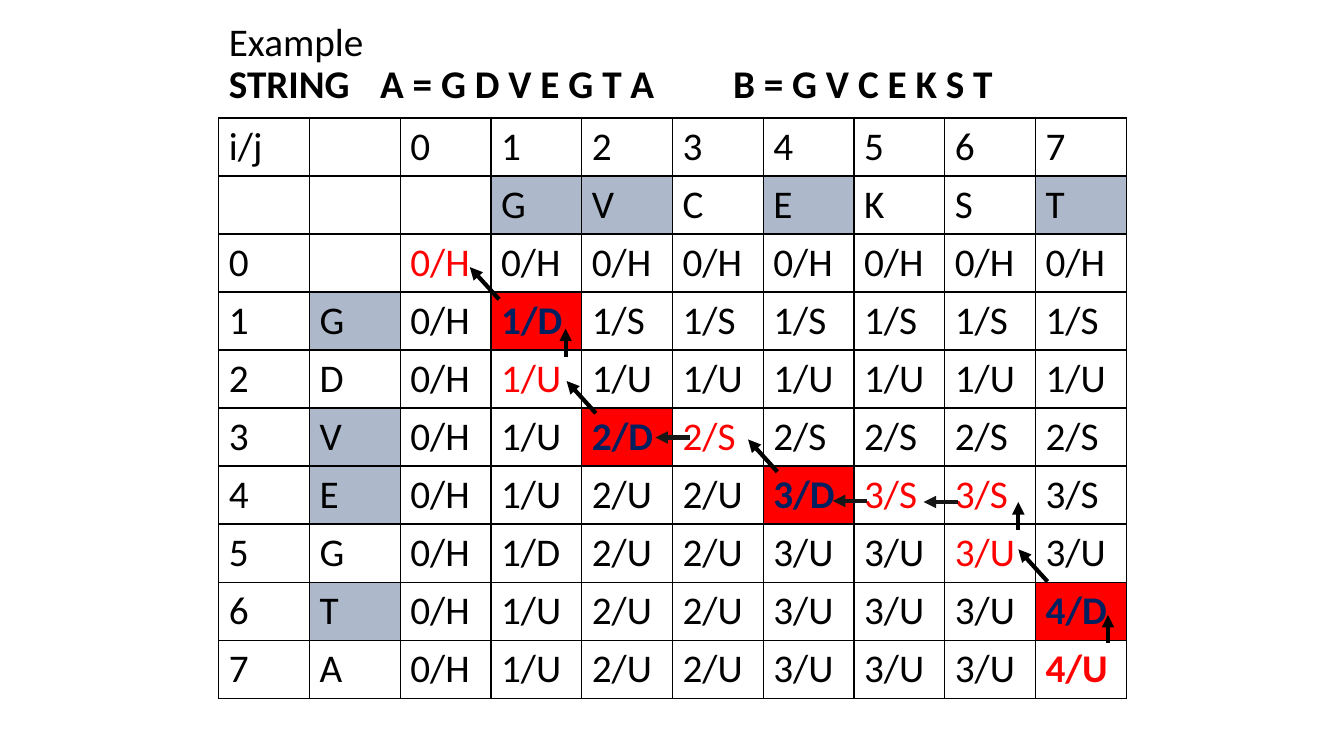
import copy
import lxml.etree
import pptx
import pptx.dml.color
import pptx.enum.shapes
import pptx.enum.text
import pptx.oxml.ns
import pptx.util

Inches, Pt = pptx.util.Inches, pptx.util.Pt
qn = pptx.oxml.ns.qn

HEAD = ["Example", "STRING \tA = G D V E G T A \t\tB = G V C E K S T"]
ACROSS, DOWN = "GVCEKST", "GDVEGTA"
SCORES = [
    "0/H 0/H 0/H 0/H 0/H 0/H 0/H 0/H",
    "0/H 1/D 1/S 1/S 1/S 1/S 1/S 1/S",
    "0/H 1/U 1/U 1/U 1/U 1/U 1/U 1/U",
    "0/H 1/U 2/D 2/S 2/S 2/S 2/S 2/S",
    "0/H 1/U 2/U 2/U 3/D 3/S 3/S 3/S",
    "0/H 1/D 2/U 2/U 3/U 3/U 3/U 3/U",
    "0/H 1/U 2/U 2/U 3/U 3/U 3/U 4/D",
    "0/H 1/U 2/U 2/U 3/U 3/U 3/U 4/U",
]
# Score cells (i, j) on the trace back, and the letters in the shared string
TRACE = {(0, 0), (1, 1), (2, 1), (3, 2), (3, 3), (4, 4), (4, 5), (4, 6),
         (5, 6), (6, 7), (7, 7)}
LAST = (7, 7)
SHARED = "GVET"
HITS = {1, 3, 4, 6}

# Step of each kind of arrow, its colour and its starting points
ARROWS = [
    ((0, -0.28), "000000", [(10.99, 6.38), (10.1, 5.26), (5.61, 3.54)]),
    ((-0.29, -0.32), "000000",
     [(10.39, 5.77), (7.71, 4.68), (5.91, 4.1), (4.95, 2.97)]),
    ((-0.34, 0), "181717", [(9.5, 4.98), (6.84, 4.34), (8.6, 4.97)]),
]
LEFT, TOP, WIDE, HIGH = 2.17, 1.17, 9, 5.67


def rgb(code):
    """Turn a hex string into a colour."""
    return pptx.dml.color.RGBColor.from_string(code)


def style(run, code="000000", bold=False):
    """Set the font of a run."""
    look = {"name": "Calibri", "size": Pt(28), "bold": bold}
    for key, value in look.items():
        setattr(run.font, key, value)
    run.font.color.rgb = rgb(code)


def edge(cell):
    """Draw a thin black border on all sides of a cell."""
    props = cell._tc.get_or_add_tcPr()
    for side in ("a:lnL", "a:lnR", "a:lnT", "a:lnB"):
        line = lxml.etree.SubElement(props, qn(side), w=str(Pt(1)))
        fill = lxml.etree.SubElement(line, qn("a:solidFill"))
        lxml.etree.SubElement(fill, qn("a:srgbClr"), val="000000")


def put(cell, text, code="000000", bold=False, fill=None):
    """Write and format one table cell."""
    edge(cell)
    if fill:
        cell.fill.solid()
        cell.fill.fore_color.rgb = rgb(fill)
    else:
        cell.fill.background()
    if text:
        run = cell.text_frame.paragraphs[0].add_run()
        run.text = text
        style(run, code, bold)


def score(i, j):
    """Give the colour, weight and fill of a score cell."""
    text = SCORES[i].split()[j]
    if (i, j) not in TRACE:
        return {}
    if text.endswith("D"):
        return {"code": "002060", "bold": True, "fill": "FF0000"}
    return {"code": "FF0000", "bold": (i, j) == LAST}


def title(shape):
    """Place the title and write its two lines."""
    box = {"left": LEFT, "top": 0.47, "width": WIDE, "height": 0.78}
    for key, value in box.items():
        setattr(shape, key, Inches(value))
    frame = shape.text_frame
    form = {"vertical_anchor": pptx.enum.text.MSO_ANCHOR.MIDDLE,
            "auto_size": pptx.enum.text.MSO_AUTO_SIZE.NONE,
            "word_wrap": True, "margin_bottom": Inches(0.48)}
    for key, value in form.items():
        setattr(frame, key, value)
    para = frame.paragraphs[0]
    para.alignment = pptx.enum.text.PP_ALIGN.LEFT
    para.line_spacing = 0.9
    for n, text in enumerate(HEAD):
        if n:
            para.add_line_break()
            para._p[-1].append(copy.deepcopy(run._r.rPr))
        run = para.add_run()
        run.text = text
        style(run, bold=n > 0)


def grid(shapes):
    """Build the table of scores."""
    size = len(SCORES) + 2
    table = shapes.add_table(size, size, Inches(LEFT), Inches(TOP),
                             Inches(WIDE), Inches(HIGH)).table
    table.first_row = table.horz_banding = False
    rows = [["i/j", "", *"01234567"], ["", "", "", *ACROSS]]
    for i, line in enumerate(SCORES):
        rows.append([str(i), DOWN[i - 1] if i else "", *line.split()])
    for r, row in enumerate(rows):
        for c, text in enumerate(row):
            look = {}
            if r > 1 and c > 1:
                look = score(r - 2, c - 2)
            elif (r == 1 and text and text in SHARED) or (
                    c == 1 and r - 2 in HITS):
                look = {"fill": "ADB9CA"}
            put(table.cell(r, c), text, **look)


def arrow(shapes, start, step, code):
    """Draw one arrow of the trace back."""
    ends = [*start, start[0] + step[0], start[1] + step[1]]
    link = shapes.add_connector(pptx.enum.shapes.MSO_CONNECTOR.STRAIGHT,
                                *[Inches(v) for v in ends])
    link.line.width = Pt(3)
    link.line.color.rgb = rgb(code)
    props = link._element.spPr
    lxml.etree.SubElement(props.find(qn("a:ln")), qn("a:tailEnd"),
                          type="triangle")
    lxml.etree.SubElement(props, qn("a:effectLst"))


def main():
    """Build the slide and save it."""
    deck = pptx.Presentation()
    deck.slide_width, deck.slide_height = Inches(13.33), Inches(7.5)
    slide = deck.slides.add_slide(deck.slide_layouts[5])
    title(slide.shapes.title)
    grid(slide.shapes)
    for step, code, starts in ARROWS:
        for start in starts:
            arrow(slide.shapes, start, step, code)
    deck.save("out.pptx")


main()
